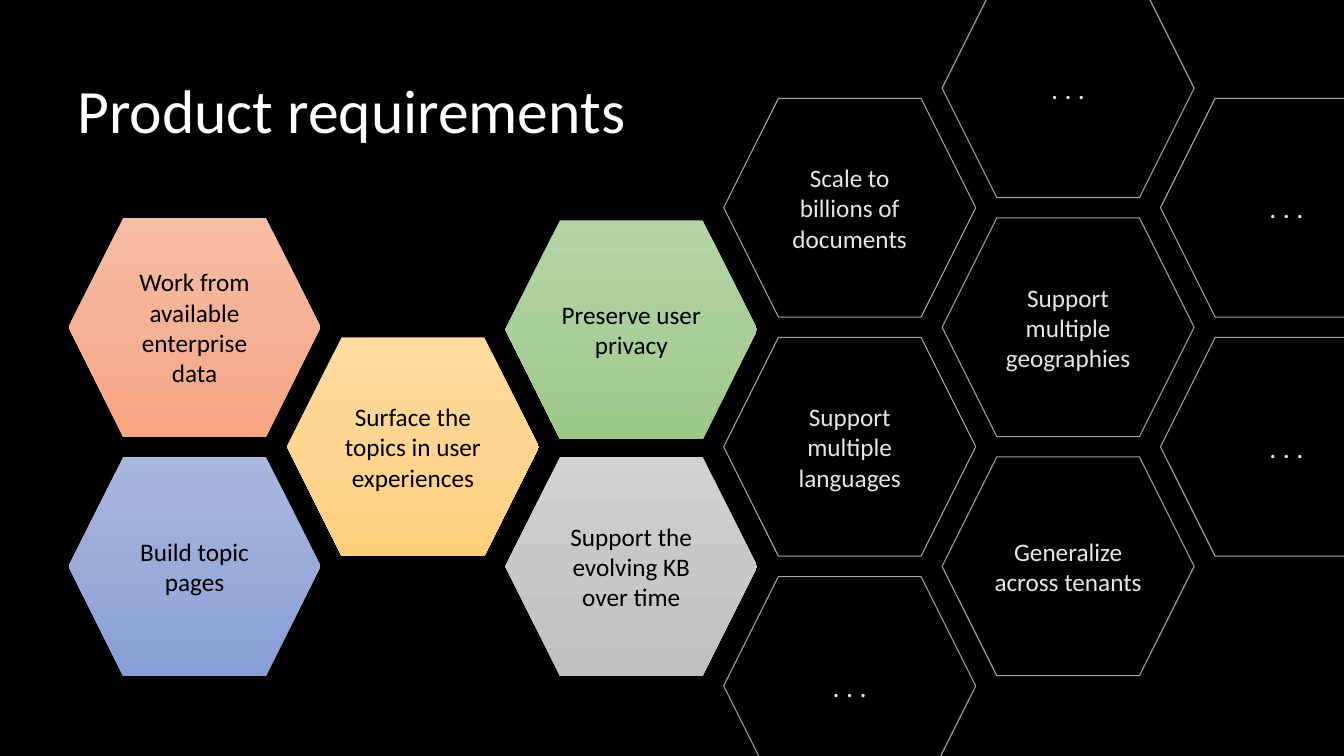
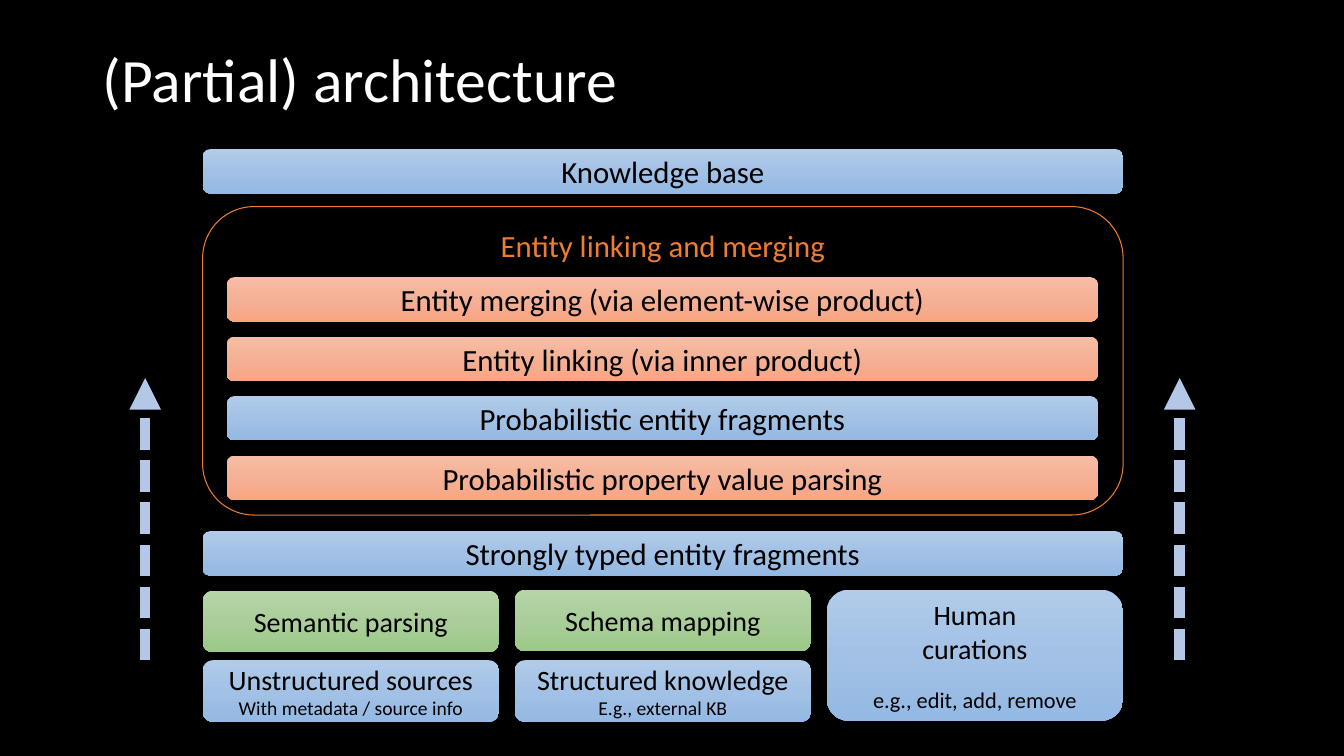
"""Build two dark slides: product requirements as hexagons and a layered architecture."""
from copy import deepcopy
from dataclasses import dataclass
from typing import NamedTuple

from lxml.etree import SubElement as Sub
from pptx import Presentation as Deck
from pptx.dml.color import RGBColor as Rgb
from pptx.enum.dml import MSO_LINE as Dash
from pptx.enum.shapes import MSO_CONNECTOR as Link, MSO_SHAPE as Form
from pptx.enum.text import MSO_ANCHOR as Anchor, PP_ALIGN as Align
from pptx.oxml.ns import qn
from pptx.util import Inches, Pt


@dataclass(frozen=True)
class Theme:
    font: str = "Calibri"
    back: str = "000000"
    title: str = "FFFFFF"
    dark: str = "000000"
    pale: str = "E7E6E6"
    edge: str = "A5A5A5"
    frame: str = "ED7D31"
    arrow: str = "B4C7E7"
    orange: tuple = ("F7BDA5", "F5B196", "F8A582")
    indigo: tuple = ("A8B7DF", "9AABD9", "889ED7")
    gold: tuple = ("FFDB9E", "FFD590", "FFD07C")
    grey: tuple = ("D2D2D2", "C8C8C8", "C0C0C0")
    green: tuple = ("B5D5A7", "AACE9A", "9CC987")
    blue: tuple = ("B1CBE9", "A3C1E5", "93B9E4")
    head: int = 44
    bar: int = 22
    block: int = 20
    cell: int = 18
    note: int = 16
    small: int = 14
    hair: float = 0.75
    thick: float = 7.5


T = Theme()


class Box(NamedTuple):
    left: float
    top: float
    width: float
    height: float


class Line(NamedTuple):
    text: str
    size: int
    color: str = T.dark
    before: int = 0


class Hex(NamedTuple):
    col: int
    row: float
    text: str
    fill: tuple = ()
    tight: bool = False


class Tile(NamedTuple):
    box: Box
    lines: list
    fill: tuple


def style(item, form: dict) -> None:
    for name, value in form.items():
        setattr(item, name, value)


def write(frame, lines: list, form: dict, para: dict) -> None:
    style(frame, {"word_wrap": True, **form})
    for num, line in enumerate(lines):
        part = frame.add_paragraph() if num else frame.paragraphs[0]
        part.text = line.text
        style(part, para)
        if line.before:
            part.space_before = Pt(line.before)
        for run in part.runs:
            style(run.font, {"name": T.font, "size": Pt(line.size)})
            run.font.color.rgb = Rgb.from_string(line.color)


def shade(shape, tones: tuple) -> None:
    shape.fill.gradient()
    shape.fill.gradient_angle = 270
    stops = shape._element.spPr.find(qn("a:gradFill")).find(qn("a:gsLst"))
    stops.insert(1, deepcopy(stops[0]))
    for num, (stop, tone) in enumerate(zip(shape.fill.gradient_stops, tones)):
        stop.color.rgb = Rgb.from_string(tone)
        stop.position = num / 2


def draw(slide, kind, box: Box, lines: list, fill: tuple = (), edge: str = T.edge,
         form: dict | None = None) -> None:
    shape = slide.shapes.add_shape(kind, *map(Inches, box))
    shape.shadow.inherit = False
    if fill:
        shade(shape, fill)
        shape.line.fill.background()
    else:
        shape.fill.background()
        shape.line.color.rgb = Rgb.from_string(edge)
        shape.line.width = Pt(T.hair)
    write(shape.text_frame, lines, {"vertical_anchor": Anchor.MIDDLE, **(form or {})},
          {"alignment": Align.CENTER})


def start(deck, title: str, left: float, top: float):
    slide = deck.slides.add_slide(deck.slide_layouts[6])
    slide.background.fill.solid()
    slide.background.fill.fore_color.rgb = Rgb.from_string(T.back)
    box = slide.shapes.add_textbox(*map(Inches, (left, top, 11.5, 1.45)))
    write(box.text_frame, [Line(title, T.head, T.title)],
          {"vertical_anchor": Anchor.MIDDLE}, {"line_spacing": 0.9})
    return slide


def rise(slide, left: float) -> None:
    x = Inches(left)
    arrow = slide.shapes.add_connector(Link.STRAIGHT, x, Inches(6.55), x, Inches(3.75))
    arrow.line.color.rgb = Rgb.from_string(T.arrow)
    style(arrow.line, {"width": Pt(T.thick), "dash_style": Dash.SQUARE_DOT})
    Sub(arrow.line._get_or_add_ln(), qn("a:tailEnd"), type="triangle")
    Sub(arrow._element.spPr, qn("a:effectLst"))


def needs(deck) -> None:
    slide = start(deck, "Product requirements", 0.67, 0.4)
    dots = ". . ."
    tight = {"margin_left": Inches(0.04), "margin_right": Inches(0.04)}
    cells = [
        Hex(0, 2, "Work from available enterprise data", T.orange),
        Hex(0, 4, "Build topic pages", T.indigo),
        Hex(1, 3, "Surface the topics in user experiences", T.gold),
        Hex(2, 4, "Support the evolving KB over time", T.grey),
        Hex(2, 2.02, "Preserve user privacy", T.green),
        Hex(3, 3, "Support multiple languages"),
        Hex(3, 1, "Scale to billions of documents"),
        Hex(4, 4, "Generalize across tenants"),
        Hex(3, 5, dots, tight=True),
        Hex(4, 0, dots, tight=True),
        Hex(4, 2, "Support multiple geographies", tight=True),
        Hex(5, 1, dots, tight=True),
        Hex(5, 3, dots, tight=True),
    ]
    across, down = (11.51 - 0.68) / 5, (5.72 + 0.21) / 5
    for cell in cells:
        box = Box(0.68 + cell.col * across, cell.row * down - 0.21, 2.5, 2.17)
        size = T.block if cell.text == dots else T.cell
        line = Line(cell.text, size, T.dark if cell.fill else T.pale)
        draw(slide, Form.HEXAGON, box, [line], cell.fill,
             form=tight if cell.tight else None)


def layers(deck) -> None:
    slide = start(deck, "(Partial) architecture", 0.92, 0.09)
    left, full, third, thin, low = 2.01, 9.13, 2.94, 0.44, 0.61
    cols = [left + num * (full - third) / 2 for num in range(3)]
    draw(slide, Form.ROUNDED_RECTANGLE, Box(left, 2.05, full, 3.06),
         [Line("Entity linking and merging", T.bar, T.frame)], edge=T.frame,
         form={"vertical_anchor": Anchor.TOP})
    tiles = [
        Tile(Box(left, top, full, thin), [Line(text, T.bar)], T.blue)
        for top, text in ((1.48, "Knowledge base"),
                          (5.27, "Strongly typed entity fragments"))
    ]
    steps = [
        ("Entity merging (via element-wise product)", T.orange),
        ("Entity linking (via inner product)", T.orange),
        ("Probabilistic entity fragments", T.blue),
        ("Probabilistic property value parsing", T.orange),
    ]
    tiles += [
        Tile(Box(2.25, 2.75 + num * 0.59, 8.64, thin), [Line(text, T.bar)], fill)
        for num, (text, fill) in enumerate(steps)
    ]
    feeds = [
        (5.86, "Semantic parsing", "Unstructured sources", "With metadata / source info"),
        (5.85, "Schema mapping", "Structured knowledge", "E.g., external KB"),
    ]
    for x, (top, task, source, note) in zip(cols, feeds):
        tiles += [
            Tile(Box(x, top, third, low), [Line(task, T.block)], T.green),
            Tile(Box(x, 6.55, third, low),
                 [Line(source, T.block), Line(note, T.small)], T.blue),
        ]
    tiles.append(Tile(Box(cols[2], 5.85, third, 1.3),
                      [Line("Human\vcurations", T.block),
                       Line("e.g., edit, add, remove", T.note, before=15)], T.blue))
    for tile in tiles:
        draw(slide, Form.ROUNDED_RECTANGLE, tile.box, tile.lines, tile.fill)
    for x in (11.7, 1.44):
        rise(slide, x)


def main() -> None:
    deck = Deck()
    style(deck, {"slide_width": Inches(13.33), "slide_height": Inches(7.5)})
    needs(deck)
    layers(deck)
    deck.save("out.pptx")


if __name__ == "__main__":
    main()
